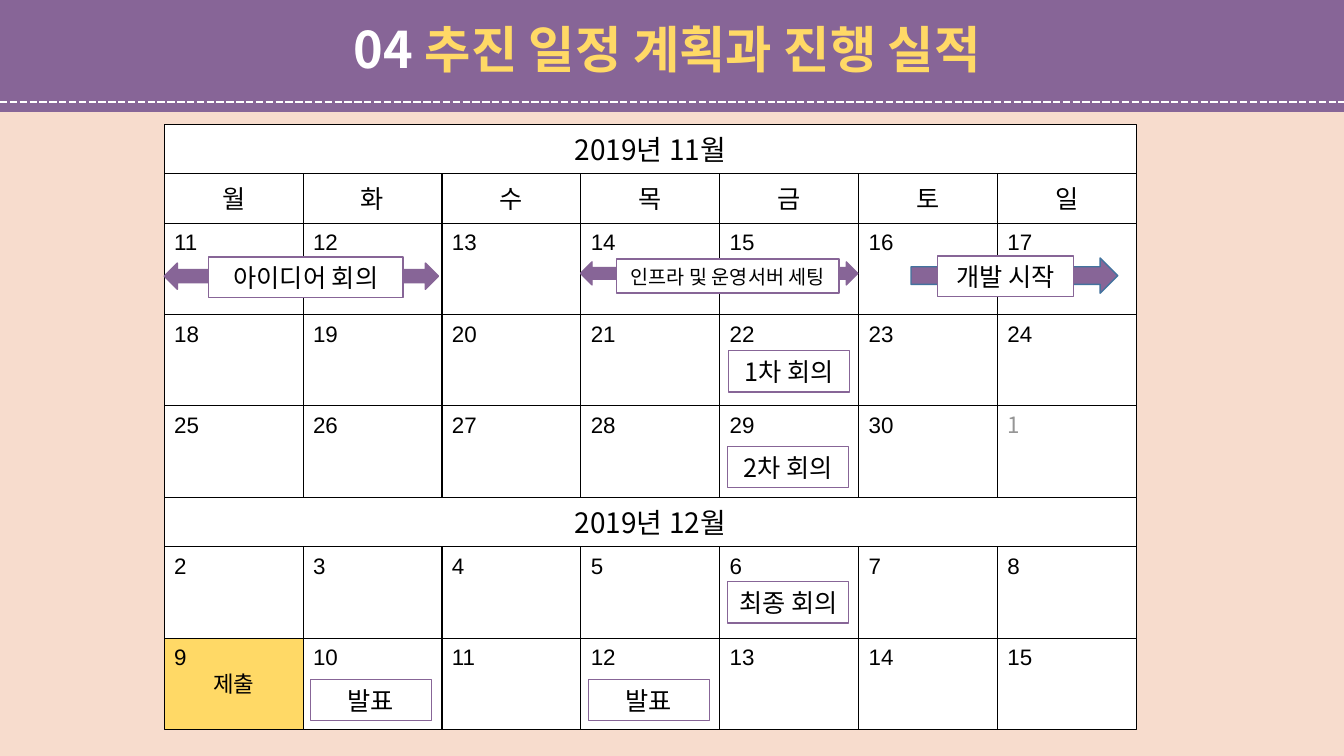
from dataclasses import dataclass

from lxml import etree
from pptx import Presentation
from pptx.dml.color import RGBColor
from pptx.enum.dml import MSO_LINE
from pptx.enum.shapes import MSO_CONNECTOR, MSO_SHAPE
from pptx.enum.text import MSO_ANCHOR, PP_ALIGN
from pptx.oxml.ns import qn
from pptx.util import Cm, Pt

RECTANGLE = MSO_SHAPE.RECTANGLE
DOUBLE_ARROW = MSO_SHAPE.LEFT_RIGHT_ARROW
RIGHT_ARROW = MSO_SHAPE.RIGHT_ARROW
STRAIGHT = MSO_CONNECTOR.STRAIGHT
DASH = MSO_LINE.SQUARE_DOT
TOP, MIDDLE = MSO_ANCHOR.TOP, MSO_ANCHOR.MIDDLE
LEFT, CENTER = PP_ALIGN.LEFT, PP_ALIGN.CENTER


@dataclass(frozen=True)
class Theme:
    background: str = "F7DCCD"
    purple: str = "876597"
    yellow: str = "FFD966"
    white: str = "FFFFFF"
    black: str = "000000"
    grey: str = "969696"
    blue: str = "43739E"
    korean_font: str = "Noto Sans CJK KR"
    date_font: str = "Arial"
    title_size: float = 36
    month_size: float = 20
    label_size: float = 18
    date_size: float = 16
    small_size: float = 14
    grid_line: float = 0.75
    event_line: float = 1
    dash_line: float = 1.75


THEME = Theme()


@dataclass(frozen=True)
class Box:
    """A place on the slide, in centimetres."""
    left: float
    top: float
    width: float
    height: float

    def lengths(self) -> tuple:
        return Cm(self.left), Cm(self.top), Cm(self.width), Cm(self.height)


@dataclass(frozen=True)
class Label:
    text: str
    size: float
    font: str = THEME.korean_font
    color: str = THEME.black
    bold: bool = False
    align: PP_ALIGN = CENTER


@dataclass(frozen=True)
class Arrow:
    kind: MSO_SHAPE
    box: Box
    line: str = THEME.purple


@dataclass(frozen=True)
class Event:
    text: str
    box: Box
    size: float = THEME.label_size
    arrow: Arrow | None = None


# Calendar grid
GRID_LEFT, GRID_TOP = 4.14, 3.13
COLUMN_WIDTH, HEADER_HEIGHT, WEEK_HEIGHT = 3.5, 1.25, 2.3
DAYS = "월화수목금토일"
SUBMISSION = "제출"
# A row is a month title, the day names or the first date of a week
ROWS = ["2019년 11월", DAYS, 11, 18, 25, "2019년 12월", 2, 9]
LAST_NOVEMBER_DAY = 30


def meeting(text: str, left: float, top: float) -> Event:
    return Event(text, Box(left, top, 3.05, 1.04))


EVENTS = [
    Event("인프라 및 운영서버 세팅", Box(15.54, 6.53, 5.61, 0.86), THEME.small_size,
          Arrow(DOUBLE_ARROW, Box(14.63, 6.6, 6.99, 0.58))),
    Event("아이디어 회의", Box(5.26, 6.48, 4.9, 1.02),
          arrow=Arrow(DOUBLE_ARROW, Box(4.14, 6.63, 6.91, 0.66))),
    Event("개발 시작", Box(23.62, 6.45, 3.43, 1.02),
          arrow=Arrow(RIGHT_ARROW, Box(22.96, 6.5, 5.21, 0.89), THEME.blue)),
    meeting("1차 회의", 18.36, 8.84),
    meeting("2차 회의", 18.34, 11.25),
    meeting("최종 회의", 18.34, 14.66),
    meeting("발표", 7.82, 17.12),
    meeting("발표", 14.83, 17.12),
]


def add_run(paragraph, label: Label) -> None:
    run = paragraph.add_run()
    run.text = label.text
    formats = {"name": label.font, "size": Pt(label.size), "bold": label.bold}
    for name, value in formats.items():
        setattr(run.font, name, value)
    run.font.color.rgb = RGBColor.from_string(label.color)
    east_asian = etree.SubElement(run.font._element, qn("a:ea"))
    east_asian.set("typeface", THEME.korean_font)


def add_labels(shape, labels: list[Label], anchor: MSO_ANCHOR, margin: float) -> None:
    frame = shape.text_frame
    formats = {"word_wrap": True, "vertical_anchor": anchor,
               "margin_top": Cm(margin), "margin_bottom": Cm(margin)}
    for name, value in formats.items():
        setattr(frame, name, value)
    for index, label in enumerate(labels):
        paragraph = frame.add_paragraph() if index else frame.paragraphs[0]
        paragraph.alignment = label.align
        add_run(paragraph, label)


def add_filled(shapes, kind: MSO_SHAPE, box: Box, fill: str,
               line: str | None = None, width: float = THEME.event_line):
    shape = shapes.add_shape(kind, *box.lengths())
    shape.shadow.inherit = False
    shape.fill.solid()
    shape.fill.fore_color.rgb = RGBColor.from_string(fill)
    if line is None:
        shape.line.fill.background()
    else:
        shape.line.color.rgb = RGBColor.from_string(line)
        shape.line.width = Pt(width)
    return shape


def add_cell(shapes, box: Box, labels: list[Label], anchor: MSO_ANCHOR = MIDDLE,
             margin: float = 0.05, fill: str = THEME.white) -> None:
    cell = add_filled(shapes, RECTANGLE, box, fill, THEME.black, THEME.grid_line)
    add_labels(cell, labels, anchor, margin)


def add_week(shapes, first_date: int, top: float) -> None:
    for column in range(len(DAYS)):
        date = first_date + column
        fill = THEME.white
        label = Label(str(date), THEME.date_size, THEME.date_font, align=LEFT)
        if date > LAST_NOVEMBER_DAY:
            label = Label(str(date - LAST_NOVEMBER_DAY), THEME.date_size,
                          color=THEME.grey, align=LEFT)
        labels = [label]
        if date == 9:
            fill = THEME.yellow
            labels.append(Label(SUBMISSION, THEME.date_size))
        box = Box(GRID_LEFT + column * COLUMN_WIDTH, top, COLUMN_WIDTH, WEEK_HEIGHT)
        add_cell(shapes, box, labels, TOP, 0.13, fill)


def add_calendar(slide) -> None:
    shapes = slide.shapes.add_group_shape().shapes
    top = GRID_TOP
    for row in ROWS:
        if isinstance(row, int):
            add_week(shapes, row, top)
            top += WEEK_HEIGHT
            continue
        texts, size = (row, THEME.label_size) if row == DAYS else ([row], THEME.month_size)
        width = COLUMN_WIDTH * len(DAYS) / len(texts)
        for column, text in enumerate(texts):
            box = Box(GRID_LEFT + column * width, top, width, HEADER_HEIGHT)
            add_cell(shapes, box, [Label(text, size)])
        top += HEADER_HEIGHT


def add_event(slide, event: Event) -> None:
    if event.arrow:
        add_filled(slide.shapes, event.arrow.kind, event.arrow.box,
                   THEME.purple, event.arrow.line)
    shape = add_filled(slide.shapes, RECTANGLE, event.box, THEME.white, THEME.purple)
    add_labels(shape, [Label(event.text, event.size)], MIDDLE, 0)


def add_header(slide, width: float) -> None:
    add_filled(slide.shapes, RECTANGLE, Box(0, 0, width, 2.82), THEME.purple)
    title = slide.shapes.add_textbox(*Box(4.14, 0.33, 25.35, 1.8).lengths())
    add_labels(title, [Label("04 ", THEME.title_size, color=THEME.white, bold=True)], MIDDLE, 0)
    add_run(title.text_frame.paragraphs[0],
            Label("추진 일정 계획과 진행 실적", THEME.title_size, color=THEME.yellow, bold=True))
    stitch = slide.shapes.add_connector(STRAIGHT, Cm(0), Cm(2.57), Cm(width), Cm(2.57))
    stitch.line.color.rgb = RGBColor.from_string(THEME.white)
    stitch.line.width = Pt(THEME.dash_line)
    stitch.line.dash_style = DASH
    etree.SubElement(stitch._element.spPr, qn("a:effectLst"))


def main() -> None:
    presentation = Presentation()
    width = 33.87
    presentation.slide_width, presentation.slide_height = Cm(width), Cm(19.05)
    slide = presentation.slides.add_slide(presentation.slide_layouts[6])
    slide.background.fill.solid()
    slide.background.fill.fore_color.rgb = RGBColor.from_string(THEME.background)
    add_header(slide, width)
    add_calendar(slide)
    for event in EVENTS:
        add_event(slide, event)
    presentation.save("out.pptx")


if __name__ == "__main__":
    main()
